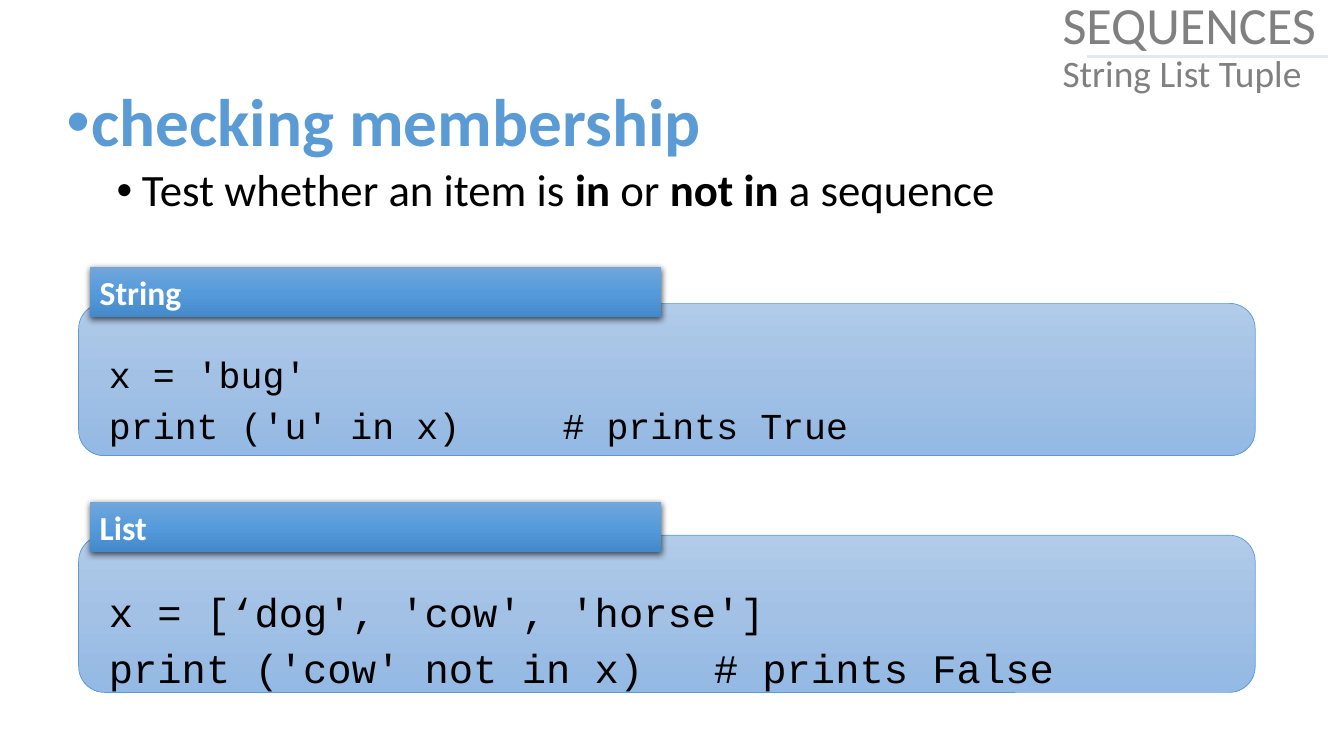
from pptx import Presentation
from pptx.dml.color import RGBColor
from pptx.enum.shapes import MSO_CONNECTOR as CONNECTOR, MSO_SHAPE as SHAPE
from pptx.enum.text import MSO_ANCHOR as ANCHOR, PP_ALIGN as ALIGN
from pptx.oxml import parse_xml
from pptx.oxml.ns import qn
from pptx.util import Inches, Pt

NS = 'xmlns:a="http://schemas.openxmlformats.org/drawingml/2006/main"'
BLUE = "5B9BD5"
PANEL_STOPS = ("B1CBE9", "A3C1E5", "93B9E4")
LABEL_STOPS = ("71A6DB", "559BDB", "448ACA")


def rgb(value):
    """Turn a hex string into a colour."""
    return RGBColor.from_string(value)


def add_run(p, text, size, color, bold=False, font="Calibri"):
    """Add one formatted run to a paragraph."""
    r = p.add_run()
    r.text = text
    r.font.size = Pt(size)
    r.font.name = font
    r.font.bold = bold
    r.font.color.rgb = rgb(color)


def add_text_box(shapes, x, y, w, h):
    """Add a wrapping text box and return its frame."""
    tf = shapes.add_textbox(Inches(x), Inches(y), Inches(w), Inches(h)).text_frame
    tf.word_wrap = True
    return tf


def set_indent(p, level, left, first=0):
    """Set the level and indents of a paragraph, in inches."""
    p.level = level
    pPr = p._p.get_or_add_pPr()
    pPr.set("marL", str(Inches(left)))
    pPr.set("indent", str(Inches(first)))
    return pPr


def add_gradient_shape(shapes, kind, x, y, w, h, stops):
    """Add a shape filled from top to bottom with evenly spaced colours."""
    sp = shapes.add_shape(kind, Inches(x), Inches(y), Inches(w), Inches(h))
    sp.shadow.inherit = False
    sp.line.fill.background()
    step = 100000 // (len(stops) - 1)
    marks = "".join(
        f'<a:gs pos="{i * step}"><a:srgbClr val="{c}"/></a:gs>'
        for i, c in enumerate(stops)
    )
    sp._element.spPr.find(qn("a:prstGeom")).addnext(parse_xml(
        f'<a:gradFill {NS} rotWithShape="1"><a:gsLst>{marks}</a:gsLst>'
        '<a:lin ang="5400000" scaled="0"/></a:gradFill>'
    ))
    return sp


def add_header(s, x, y, w, h):
    """Place the topic title and the rule that crosses it."""
    tf = add_text_box(s.shapes, x, y, w, h)
    tf.vertical_anchor = ANCHOR.MIDDLE
    p = tf.paragraphs[0]
    p.line_spacing = 0.9
    add_run(p, "SEQUENCES", 37.3, "808080")
    p.add_line_break()
    add_run(p, "String List Tuple", 26.7, "808080")
    rule_y = Inches(y + 0.59)
    rule = s.shapes.add_connector(
        CONNECTOR.STRAIGHT, Inches(x + 0.34), rule_y, Inches(x + 2.73), rule_y
    )
    rule.line.color.rgb = rgb("DEEBF7")
    rule.line.width = Pt(2)
    rule._element.spPr.append(parse_xml(f"<a:effectLst {NS}/>"))


def add_body(s, x, y, w, h):
    """Place the bulleted heading and its explanation."""
    tf = add_text_box(s.shapes, x, y, w, h)
    heading = [("checking membership", True)]
    detail = [
        ("Test whether an item is ", False),
        ("in", True),
        (" or ", False),
        ("not in ", True),
        ("a sequence", False),
    ]
    rows = [(heading, 48, BLUE, 0.25, 10), (detail, 32, "000000", 0.75, 5)]
    for level, (runs, size, color, left, before) in enumerate(rows):
        p = tf.add_paragraph() if level else tf.paragraphs[0]
        p.line_spacing = 0.9
        p.space_before = Pt(before)
        pPr = set_indent(p, level, left, -0.25)
        pPr.append(parse_xml(f'<a:buFont {NS} typeface="Arial"/>'))
        pPr.append(parse_xml(f'<a:buChar {NS} char="•"/>'))
        for text, bold in runs:
            add_run(p, text, size, color, bold)


def add_code_panel(s, x, y, w, h, label, lines, size, code_w, code_dy, label_dy):
    """Place a code panel with its lines and the label on its top edge."""
    shapes = s.shapes.add_group_shape().shapes
    panel = add_gradient_shape(shapes, SHAPE.ROUNDED_RECTANGLE, x, y, w, h, PANEL_STOPS)
    panel.line.color.rgb = rgb(BLUE)
    panel.line.width = Pt(0.5)

    tf = add_text_box(shapes, x, y + code_dy, code_w, 1.11)
    tf.margin_left = tf.margin_right = Inches(0.13)
    tf.margin_top = tf.margin_bottom = Inches(0.07)
    for i, line in enumerate(lines):
        p = tf.add_paragraph() if i else tf.paragraphs[0]
        set_indent(p, 1, 0.17).append(parse_xml(
            f'<a:spcBef {NS}><a:spcPct val="20000"/></a:spcBef>'
        ))
        add_run(p, line, size, "000000", font="Courier New")

    bar = add_gradient_shape(
        shapes, SHAPE.RECTANGLE, x + 0.11, y + label_dy, 5.67, 0.5, LABEL_STOPS
    )
    bar._element.spPr.find(qn("a:effectLst")).append(parse_xml(
        f'<a:outerShdw {NS} blurRad="{Pt(4.5)}" dist="{Pt(1.5)}" dir="5400000" '
        'algn="ctr" rotWithShape="0"><a:srgbClr val="000000">'
        '<a:alpha val="63000"/></a:srgbClr></a:outerShdw>'
    ))
    bar.text_frame.word_wrap = True
    bar.text_frame.vertical_anchor = ANCHOR.TOP
    p = bar.text_frame.paragraphs[0]
    p.alignment = ALIGN.LEFT
    add_run(p, label, 24, "FFFFFF", True)


def main():
    """Build the slide and save it."""
    prs = Presentation()
    prs.slide_width = Inches(13.33)
    prs.slide_height = Inches(7.5)
    s = prs.slides.add_slide(prs.slide_layouts[6])
    add_body(s, 0.56, 0.83, 12, 1.38)
    add_code_panel(
        s, 0.78, 3.01, 11.67, 1.51, "String",
        ["x = 'bug'", "print ('u' in x)\t\t\t# prints True"],
        26.1, 11.11, 0.41, -0.36,
    )
    add_code_panel(
        s, 0.78, 5.31, 11.67, 1.56, "List",
        ["x = [‘dog', 'cow', 'horse']", "print ('cow' not in x)\t\t# prints False"],
        28.9, 11.44, 0.44, -0.33,
    )
    add_header(s, 10.44, -0.03, 3, 1)
    prs.save("out.pptx")


if __name__ == "__main__":
    main()
